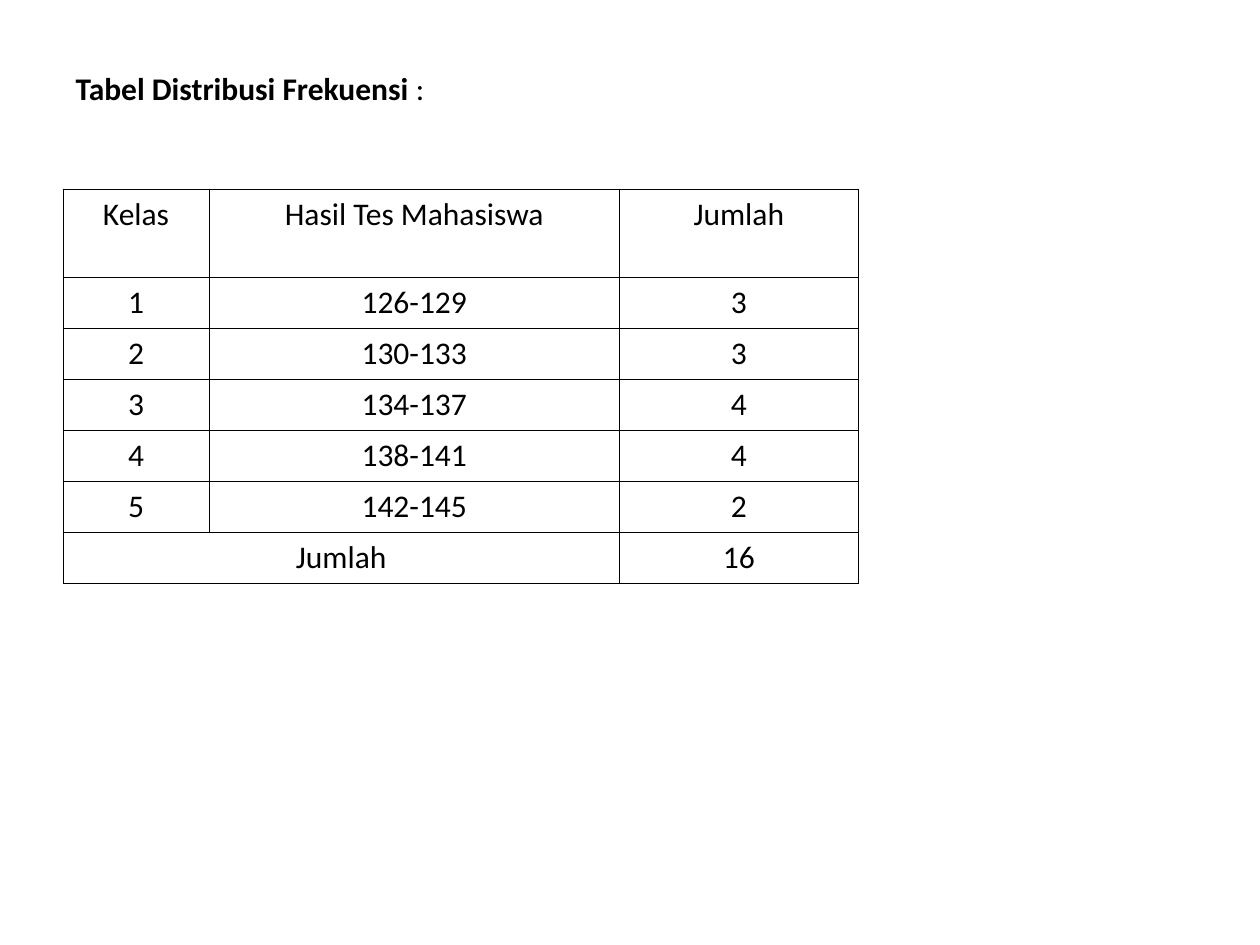
from lxml import etree
from pptx import Presentation
from pptx.dml import color
from pptx.enum import text
from pptx.oxml import ns
from pptx.util import Pt

COLORS = {"ink": "000000"}
BODY_FORMAT = {"name": "Calibri", "size": Pt(18), "bold": False}
TITLE_FORMAT = {**BODY_FORMAT, "bold": True}
BORDER_WIDTH = Pt(0.45)

HEADER = ("Kelas", "Hasil Tes Mahasiswa", "Jumlah")
CLASSES = (
    ("1", "126-129", "3"),
    ("2", "130-133", "3"),
    ("3", "134-137", "4"),
    ("4", "138-141", "4"),
    ("5", "142-145", "2"),
)
TOTAL = ("Jumlah", "", "16")
COLUMN_WIDTHS = (83.5, 234.5, 136.5)
HEADER_HEIGHT, ROW_HEIGHT = 50.4, 29.2


def format_font(font, values):
    for name, value in values.items():
        setattr(font, name, value)
    font.color.rgb = color.RGBColor.from_string(COLORS["ink"])


def add_borders(cell):
    properties = cell._tc.get_or_add_tcPr()
    # Borders come before the fill in the cell properties
    for index, side in enumerate(("lnL", "lnR", "lnT", "lnB")):
        line = etree.Element(ns.qn(f"a:{side}"), w=str(BORDER_WIDTH))
        fill = etree.SubElement(line, ns.qn("a:solidFill"))
        etree.SubElement(fill, ns.qn("a:srgbClr"), val=COLORS["ink"])
        properties.insert(index, line)


def place_title(slide, left, top, width, height):
    title = slide.shapes.title
    title.left, title.top, title.width, title.height = map(Pt, (left, top, width, height))
    frame = title.text_frame
    frame.word_wrap = True
    frame.auto_size = text.MSO_AUTO_SIZE.SHAPE_TO_FIT_TEXT
    frame.vertical_anchor = text.MSO_ANCHOR.TOP
    paragraph = frame.paragraphs[0]
    paragraph.alignment = text.PP_ALIGN.LEFT
    for words, values in (("Tabel Distribusi Frekuensi ", TITLE_FORMAT), (":", BODY_FORMAT)):
        run = paragraph.add_run()
        run.text = words
        format_font(run.font, values)


def place_frequency_table(slide, left, top, width, height):
    rows = (HEADER, *CLASSES, TOTAL)
    frame = slide.shapes.add_table(
        len(rows), len(HEADER), Pt(left), Pt(top), Pt(width), Pt(height))
    table = frame.table
    table.first_row = table.horz_banding = False
    for column, column_width in zip(table.columns, COLUMN_WIDTHS):
        column.width = Pt(column_width)

    for row_index, values in enumerate(rows):
        table.rows[row_index].height = Pt(ROW_HEIGHT if row_index else HEADER_HEIGHT)
        for column_index, value in enumerate(values):
            cell = table.cell(row_index, column_index)
            cell.fill.background()
            add_borders(cell)
            paragraph = cell.text_frame.paragraphs[0]
            paragraph.alignment = text.PP_ALIGN.CENTER
            paragraph.text = value
            format_font(paragraph.font, BODY_FORMAT)
            for run in paragraph.runs:
                format_font(run.font, BODY_FORMAT)

    # The total label spans the class and result columns
    last = len(rows) - 1
    table.cell(last, 0).merge(table.cell(last, 1))


def main():
    presentation = Presentation()
    presentation.slide_width, presentation.slide_height = Pt(720), Pt(540)
    slide = presentation.slides.add_slide(presentation.slide_layouts[5])
    place_title(slide, 36, 36, 288, 29)
    table_height = HEADER_HEIGHT + ROW_HEIGHT * (len(CLASSES) + 1)
    place_frequency_table(slide, 36, 108, sum(COLUMN_WIDTHS), table_height)
    presentation.save("out.pptx")


if __name__ == "__main__":
    main()
